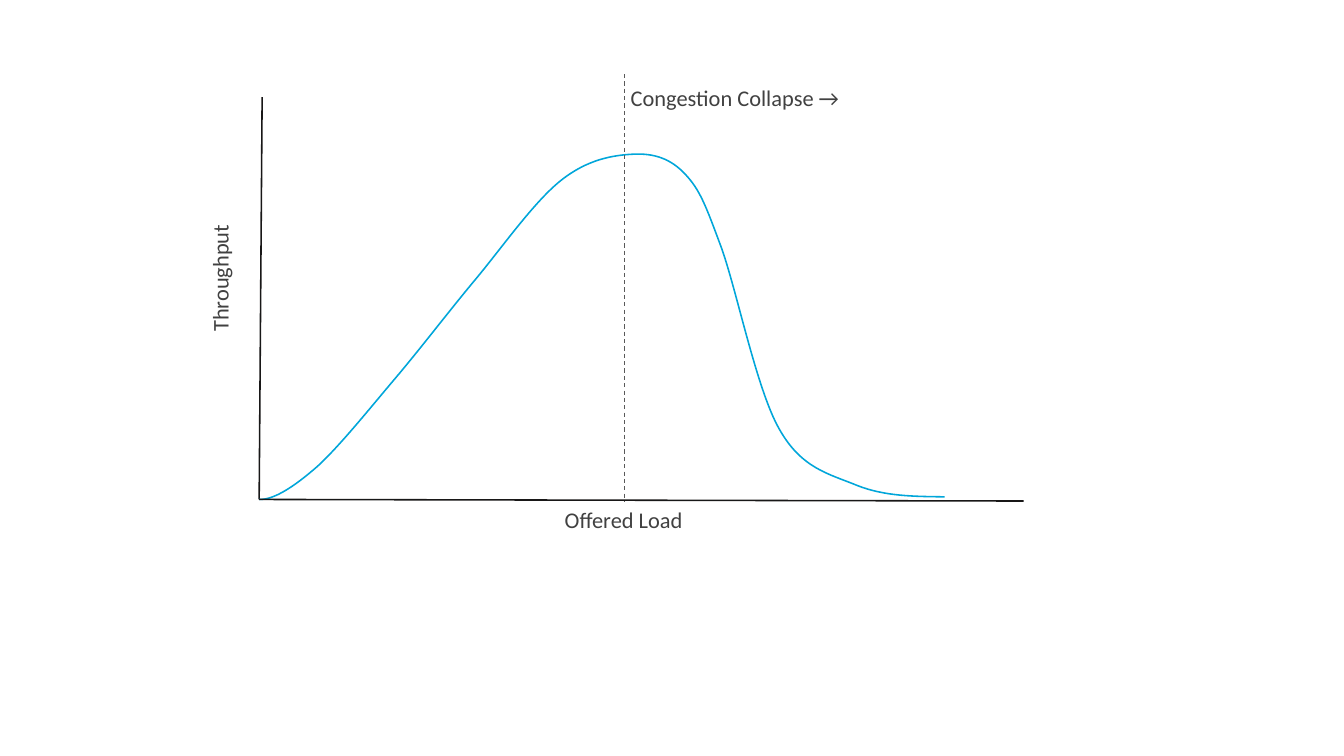
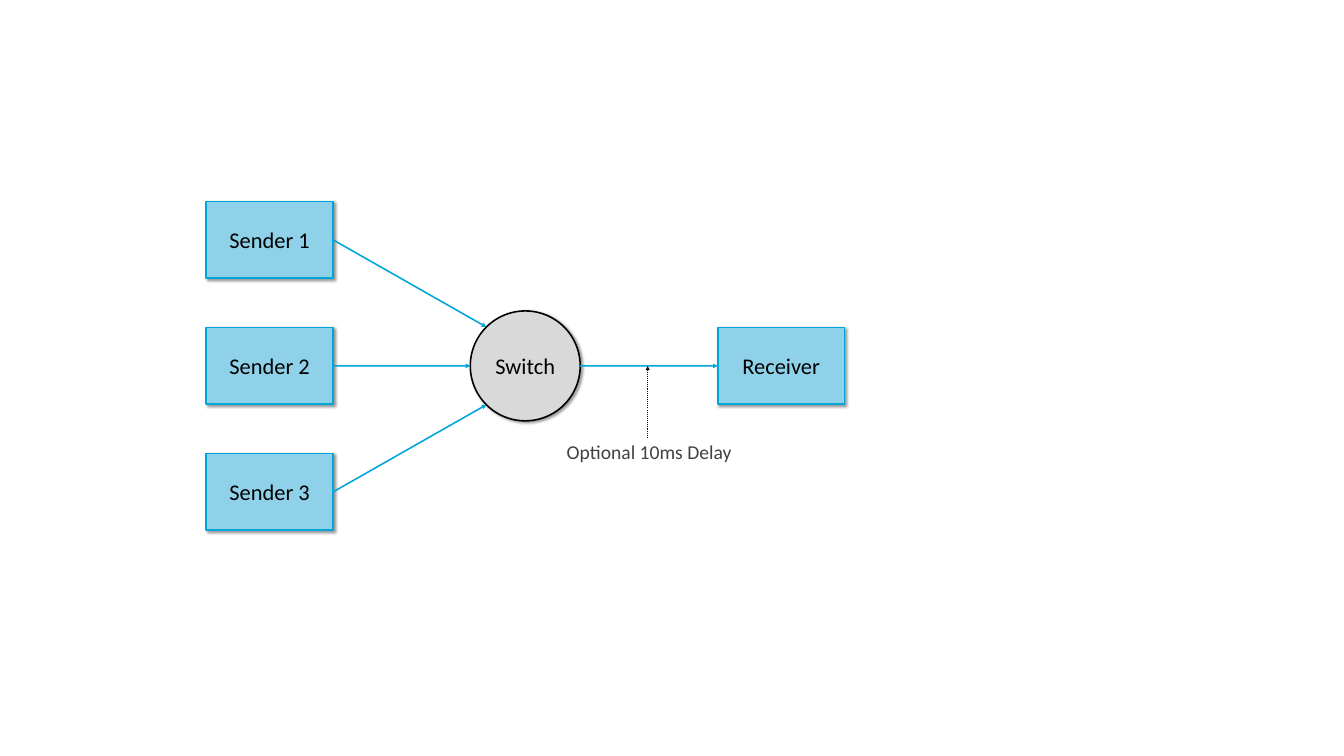
import dataclasses
import itertools
import math
from typing import Optional

import lxml.etree
import pptx
import pptx.dml.color
import pptx.enum.dml
import pptx.enum.shapes
import pptx.enum.text
import pptx.oxml
import pptx.oxml.ns
import pptx.util

Cm, Pt = pptx.util.Cm, pptx.util.Pt
qn = pptx.oxml.ns.qn
SHAPE = pptx.enum.shapes.MSO_SHAPE
DASH = pptx.enum.dml.MSO_LINE

# Shared style
FONT = "Calibri"
BLUE, LIGHT_BLUE, GRAY = "00A6DA", "8FD1E9", "D9D9D9"
BLACK, AXIS, DOTTED, TEXT, GUIDE = "000000", "181717", "0D0D0D", "414141", "595959"
LINE_W, THIN_W = 2.25, 1.5
SHADOW = (
    '<a:effectLst xmlns:a="http://schemas.openxmlformats.org/drawingml/2006/main">'
    '<a:outerShdw blurRad="50800" dist="38100" dir="2700000" algn="tl" rotWithShape="0">'
    '<a:srgbClr val="000000"><a:alpha val="40000"/></a:srgbClr>'
    '</a:outerShdw></a:effectLst>'
)


@dataclasses.dataclass
class Node:
    text: str
    x: float
    y: float
    w: float
    h: float
    kind: SHAPE = SHAPE.RECTANGLE
    fill: str = LIGHT_BLUE
    line: str = BLUE

    @property
    def right(self) -> float:
        return self.x + self.w

    @property
    def mid(self) -> float:
        return self.y + self.h / 2


@dataclasses.dataclass
class Label:
    text: str
    x: float
    y: float
    w: float
    h: float = 1.63
    size: int = 32
    rotation: int = 0


@dataclasses.dataclass
class Line:
    x1: float
    y1: float
    x2: float
    y2: float
    color: str = BLUE
    width: float = LINE_W
    dash: Optional[DASH] = None
    arrow: bool = False


def rgb(color: str) -> pptx.dml.color.RGBColor:
    return pptx.dml.color.RGBColor.from_string(color)


def set_line(line, color: str, width: float) -> None:
    line.color.rgb = rgb(color)
    line.width = Pt(width)


def set_text(tf, text: str, size: int, color: str) -> None:
    tf.text = text
    tf.vertical_anchor = pptx.enum.text.MSO_ANCHOR.MIDDLE
    p = tf.paragraphs[0]
    p.alignment = pptx.enum.text.PP_ALIGN.CENTER
    r = p.runs[0]
    r.font.name, r.font.size = FONT, Pt(size)
    r.font.color.rgb = rgb(color)


def draw_node(s, node: Node) -> None:
    sp = s.shapes.add_shape(node.kind, Cm(node.x), Cm(node.y), Cm(node.w), Cm(node.h))
    sp.fill.solid()
    sp.fill.fore_color.rgb = rgb(node.fill)
    set_line(sp.line, node.line, LINE_W)
    sp._element.spPr.append(pptx.oxml.parse_xml(SHADOW))
    set_text(sp.text_frame, node.text, 32, BLACK)


def draw_label(s, label: Label) -> None:
    sp = s.shapes.add_textbox(Cm(label.x), Cm(label.y), Cm(label.w), Cm(label.h))
    sp.rotation = label.rotation
    tf = sp.text_frame
    tf.word_wrap = False
    tf.auto_size = pptx.enum.text.MSO_AUTO_SIZE.SHAPE_TO_FIT_TEXT
    set_text(tf, label.text, label.size, TEXT)


def draw_line(s, line: Line) -> None:
    cx = s.shapes.add_connector(
        pptx.enum.shapes.MSO_CONNECTOR.STRAIGHT,
        Cm(line.x1), Cm(line.y1), Cm(line.x2), Cm(line.y2))
    set_line(cx.line, line.color, line.width)
    if line.dash is not None:
        cx.line.dash_style = line.dash
    if line.arrow:
        lxml.etree.SubElement(cx.line._get_or_add_ln(), qn("a:tailEnd"), type="triangle")
    lxml.etree.SubElement(cx._element.spPr, qn("a:effectLst"))


def draw_curve(s, points: list[tuple[float, float]]) -> None:
    """Draw a Bezier curve: a start point, then two controls and an end per segment."""
    start, *rest = [(Cm(x), Cm(y)) for x, y in points]
    builder = s.shapes.build_freeform(*start)
    builder.add_line_segments(rest, close=False)
    sp = builder.convert_to_shape()
    sp.shadow.inherit = False
    sp.fill.background()
    set_line(sp.line, BLUE, LINE_W)
    # Every three straight steps become one cubic segment
    steps = list(sp._element.iter(qn("a:lnTo")))
    for i in range(0, len(steps), 3):
        cubic = lxml.etree.SubElement(steps[i].getparent(), qn("a:cubicBezTo"))
        for step in steps[i:i + 3]:
            cubic.append(step[0])
            step.getparent().remove(step)


prs = pptx.Presentation()
prs.slide_width, prs.slide_height = Cm(67.73), Cm(38.1)
blank = prs.slide_layouts[6]

# Slide 1: throughput against offered load
s = prs.slides.add_slide(blank)
ORIGIN = (13.06, 25.17)
PEAK_X, AXIS_Y = 31.45, 25.25
THROUGHPUT = [
    ORIGIN,
    (13.79, 25.2), (14.81, 24.54), (15.98, 23.52),
    (17.12, 22.48), (18.62, 20.6), (19.96, 19.02),
    (21.31, 17.42), (22.63, 15.67), (24.03, 14),
    (25.4, 12.34), (26.97, 10.11), (28.3, 9.07),
    (29.62, 8.03), (30.89, 7.82), (31.93, 7.77),
    (32.97, 7.72), (33.81, 8), (34.54, 8.79),
    (35.28, 9.58), (35.56, 10.34), (36.35, 12.47),
    (37.13, 14.63), (38.13, 19.63), (39.27, 21.62),
    (40.39, 23.62), (41.78, 23.88), (43.18, 24.46),
    (44.58, 25.02), (46.1, 25.02), (47.6, 25.04),
]
draw_line(s, Line(13.21, 4.9, *ORIGIN, AXIS))
draw_curve(s, THROUGHPUT)
draw_line(s, Line(51.59, AXIS_Y, *ORIGIN, AXIS))
draw_label(s, Label("Offered Load", 28.14, 25.37, 6.58))
draw_label(s, Label("Throughput", 8.08, 13.21, 5.99, rotation=270))
draw_line(s, Line(PEAK_X, 3.73, PEAK_X, AXIS_Y, GUIDE, THIN_W, DASH.DASH))
draw_label(s, Label("Congestion Collapse →", PEAK_X, 4.11, 11.18))

# Slide 2: three senders, a switch and a receiver
s = prs.slides.add_slide(blank)
BOX_W, BOX_H, PITCH, TOP = 6.4, 3.86, 6.35, 10.16
senders = [Node(f"Sender {i + 1}", 10.39, TOP + i * PITCH, BOX_W, BOX_H) for i in range(3)]
switch = Node("Switch", 23.7, 15.67, 5.54, 5.54, SHAPE.OVAL, GRAY, BLACK)
receiver = Node("Receiver", 36.17, TOP + PITCH, BOX_W, BOX_H)
for node in itertools.chain(senders, (switch, receiver)):
    draw_node(s, node)

# Arrows meet the switch at 45 degrees above, level, and 45 degrees below
radius = switch.w / 2
for sender, angle in zip(senders, (-45, 0, 45)):
    a = math.radians(angle)
    draw_line(s, Line(sender.right, sender.mid,
                      switch.x + radius * (1 - math.cos(a)),
                      switch.mid + radius * math.sin(a), arrow=True))
draw_line(s, Line(switch.right, switch.mid, receiver.x, receiver.mid, arrow=True))

# Delay note
draw_label(s, Label("Optional 10ms Delay", 28.24, 22.02, 8.94, 1.45, 28))
draw_line(s, Line(32.64, 22.07, 32.64, switch.mid, DOTTED, THIN_W, DASH.ROUND_DOT, True))

prs.save("out.pptx")
